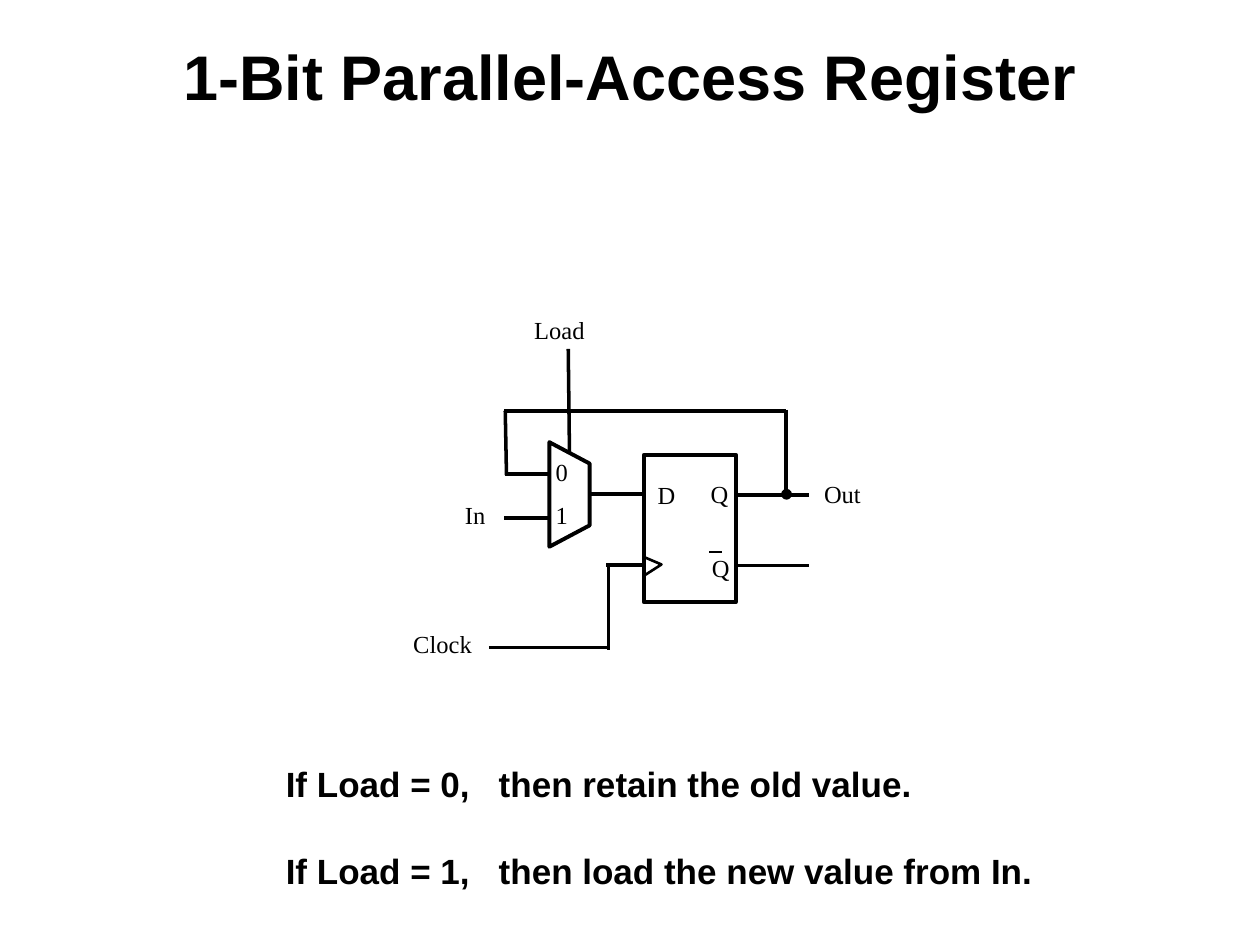
import dataclasses

import lxml.etree
import pptx
import pptx.dml.color
import pptx.enum.shapes
import pptx.enum.text
import pptx.oxml.ns
import pptx.util


@dataclasses.dataclass(frozen=True)
class Theme:
    ink: str = "000000"
    paper: str = "FFFFFF"
    heading_font: str = "Arial"
    signal_font: str = "Times New Roman"
    title_size: float = 36
    rule_size: float = 20
    signal_size: float = 14
    thin: float = 1.5
    wire: float = 2
    outline: float = 2.25


class SlideBuilder:
    """Places elements on a grid of 100 columns by 75 rows."""
    COLUMNS, ROWS = 100, 75

    def __init__(self, deck, theme):
        self.theme = theme
        self.slide = deck.slides.add_slide(deck.slide_layouts[6])
        self.column = deck.slide_width / self.COLUMNS
        self.row = deck.slide_height / self.ROWS

    def place(self, x, y):
        return round(x * self.column), round(y * self.row)

    def color(self, value):
        return pptx.dml.color.RGBColor.from_string(value)

    def paint(self, shape, weight, fill=None):
        shape.shadow.inherit = False
        if fill:
            shape.fill.solid()
            shape.fill.fore_color.rgb = self.color(fill)
        else:
            shape.fill.background()
        shape.line.color.rgb = self.color(self.theme.ink)
        shape.line.width = pptx.util.Pt(weight)

    def shape(self, preset, x, y, width, height, weight, fill):
        drawn = self.slide.shapes.add_shape(
            preset, *self.place(x, y), *self.place(width, height))
        self.paint(drawn, weight, fill)

    def outline(self, points, weight, close):
        start, *rest = [self.place(*point) for point in points]
        builder = self.slide.shapes.build_freeform(*start)
        builder.add_line_segments(rest, close=close)
        self.paint(builder.convert_to_shape(), weight)

    def wire(self, x1, y1, x2, y2, weight=None):
        line = self.slide.shapes.add_connector(
            pptx.enum.shapes.MSO_CONNECTOR.STRAIGHT,
            *self.place(x1, y1), *self.place(x2, y2))
        line.line.color.rgb = self.color(self.theme.ink)
        line.line.width = pptx.util.Pt(weight or self.theme.wire)
        lxml.etree.SubElement(line._element.spPr, pptx.oxml.ns.qn("a:effectLst"))

    def box(self, x, y, width, height):
        frame = self.slide.shapes.add_textbox(
            *self.place(x, y), *self.place(width, height)).text_frame
        frame.word_wrap = True
        return frame

    def add_text(self, paragraph, text, font, size, bold=False):
        run = paragraph.add_run()
        run.text = text
        run.font.name = font
        run.font.size = pptx.util.Pt(size)
        run.font.bold = bold
        run.font.color.rgb = self.color(self.theme.ink)

    def title(self, text, x, y, width, height):
        paragraph = self.box(x, y, width, height).paragraphs[0]
        paragraph.alignment = pptx.enum.text.PP_ALIGN.CENTER
        self.add_text(paragraph, text, self.theme.heading_font,
                      self.theme.title_size, bold=True)

    def signal(self, text, x, y, width):
        frame = self.box(x, y, width, 2.3)
        frame.word_wrap = False
        frame.auto_size = pptx.enum.text.MSO_AUTO_SIZE.SHAPE_TO_FIT_TEXT
        frame.margin_left = frame.margin_right = 0
        frame.margin_top = frame.margin_bottom = 0
        self.add_text(frame.paragraphs[0], text, self.theme.signal_font,
                      self.theme.signal_size)

    def rules(self, rules, x, y, width, height, tab):
        frame = self.box(x, y, width, height)
        for index, (condition, action) in enumerate(rules):
            paragraph = frame.add_paragraph() if index else frame.paragraphs[0]
            paragraph.line_spacing = 0.9
            paragraph.space_before = pptx.util.Pt(28 if index else 5)
            stops = lxml.etree.SubElement(
                paragraph._p.get_or_add_pPr(), pptx.oxml.ns.qn("a:tabLst"))
            lxml.etree.SubElement(stops, pptx.oxml.ns.qn("a:tab"),
                                  pos=str(round(tab * self.column)), algn="l")
            self.add_text(paragraph, f"{condition}\t{action}",
                          self.theme.heading_font, self.theme.rule_size, bold=True)


def main():
    deck = pptx.Presentation()
    deck.slide_width = pptx.util.Inches(10)
    deck.slide_height = pptx.util.Inches(7.5)
    theme = Theme()
    page = SlideBuilder(deck, theme)
    presets = pptx.enum.shapes.MSO_SHAPE

    page.title("1-Bit Parallel-Access Register", 0, 2.5, 100, 6.7)

    # Junction on the output, then the flip-flop with its clock input
    page.shape(presets.OVAL, 62.1, 38.9, 0.65, 0.65, theme.thin, theme.ink)
    page.shape(presets.RECTANGLE, 51.1, 36.1, 7.3, 11.7,
               theme.outline, theme.paper)
    page.outline([(51.1, 45.7), (52.5, 44.8), (51.1, 44.2)],
                 theme.thin, close=False)
    page.wire(57.3, 43.8, 56.3, 43.8, theme.thin)  # bar over the lower Q

    # Multiplexer
    page.outline([(46.8, 41.7), (46.8, 36.8), (43.6, 35.1), (43.6, 43.4)],
                 theme.outline, close=True)

    # Wires
    for ends in (
        (46.8, 39.2, 51.1, 39.2),  # multiplexer to D
        (58.3, 39.3, 64.2, 39.3),  # Q to Out
        (58.4, 44.9, 64.2, 44.9),  # inverted Q
        (62.4, 32.5, 62.4, 39.4),  # feedback: up, across, down, in
        (40, 32.6, 62.4, 32.6),
        (40.1, 32.6, 40.2, 37.7),
        (40.1, 37.6, 43.7, 37.6),
        (40, 41.1, 43.6, 41.1),    # In
        (45.1, 27.7, 45.2, 36),    # Load
        (38.8, 51.4, 48.3, 51.4),  # Clock: across, up, in
        (48.3, 44.7, 48.3, 51.6),
        (48.1, 44.85, 51.1, 44.85),
    ):
        page.wire(*ends)

    # Signal names
    for name, x, y, width in (
        ("Load", 42.4, 25, 5),
        ("In", 36.9, 39.7, 1.9),
        ("Clock", 32.8, 49.9, 5.4),
        ("Out", 65.4, 38, 3.4),
        ("0", 44.1, 36.3, 1.1),
        ("1", 44.1, 39.7, 1.1),
        ("D", 52.2, 38.1, 1.9),
        ("Q", 56.4, 38, 2),
        ("Q", 56.5, 43.9, 2),
    ):
        page.signal(name, x, y, width)

    # Behaviour
    page.rules([("If Load = 0,", "then retain the old value."),
                ("If Load = 1,", "then load the new value from In.")],
               21.7, 60.4, 66.7, 13.3, tab=16.9)

    deck.save("out.pptx")


if __name__ == "__main__":
    main()
